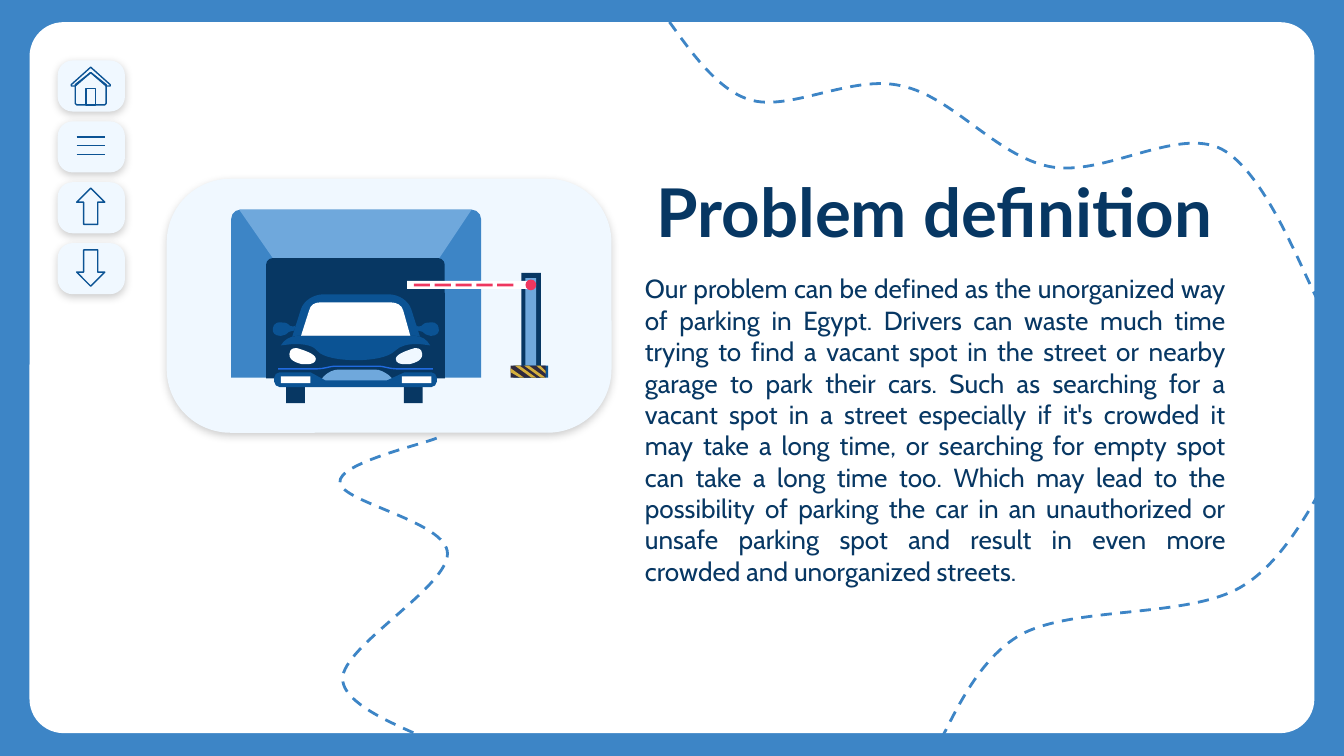
"""Build the "Problem definition" slide on a grid of 1000 columns, each a hundredth of an inch."""
from dataclasses import dataclass
from typing import NamedTuple, Optional, Union

from lxml import etree
from pptx import Presentation
from pptx import util as u
from pptx.dml.color import RGBColor
from pptx.enum import dml, shapes, text
from pptx.oxml.ns import qn

PRESET = shapes.MSO_SHAPE
CELL = u.Inches(0.01)
COLUMNS, ROWS = 1000, 562.5
CAR_WIDTH_SUM = 529.5


@dataclass(frozen=True)
class Theme:
    blue: str = "3D85C6"
    navy: str = "073763"
    royal: str = "0B5394"
    sky: str = "6FA8DC"
    ice: str = "F0F8FF"
    white: str = "FFFFFF"
    red: str = "EE375F"
    char: str = "302A3D"
    gold: str = "D4AF3D"
    trim: str = "216BE0"
    title_font: str = "Lato"
    body_font: str = "Cabin"
    title_size: int = 36
    body_size: int = 14
    road_width: float = 1.5
    icon_width: float = 0.75


THEME = Theme()


class Box(NamedTuple):
    left: float
    top: float
    width: float
    height: float


class Block(NamedTuple):
    box: Box
    fill: Optional[str]
    preset: PRESET = PRESET.RECTANGLE
    corner: Optional[float] = None
    lifted: bool = False


class Outline(NamedTuple):
    """Contours of a start point, then points for lines and six numbers for curves."""
    contours: list
    fill: Optional[str] = None
    road: bool = False


def bars(lefts: list, top: float, width: float, height: float) -> list:
    """List equal rectangles on one row as contours."""
    return [[(x, top), (x, top + height), (x + width, top + height), (x + width, top)] for x in lefts]


def mirrored(steps: list) -> list:
    """Reflect steps across the middle of the car."""
    return [tuple(CAR_WIDTH_SUM - n if i % 2 == 0 else n for i, n in enumerate(step)) for step in steps]


FRAME = Block(Box(22, 16.5, 956, 529), THEME.white, PRESET.ROUNDED_RECTANGLE, 0.048)
PANEL = Block(Box(124, 133, 331, 189), THEME.ice, PRESET.ROUNDED_RECTANGLE, 0.251, True)
BODY_BOX = Box(470, 193, 452, 189)
TITLE_BOX = Box(439, 95, 473, 102)
BODY = ("Our problem can be defined as the unorganized way of parking in Egypt. Drivers can waste much "
        "time trying to find a vacant spot in the street or nearby garage to park their cars. Such as "
        "searching for a vacant spot in a street especially if it's crowded it may take a long time, or "
        "searching for empty spot can take a long time too. Which may lead to the possibility of parking "
        "the car in an unauthorized or unsafe parking spot and result in even more crowded and "
        "unorganized streets.")

GARAGE = [
    Block(Box(172, 156, 186, 125), THEME.blue, PRESET.ROUND_2_SAME_RECTANGLE, 0.056),
    Block(Box(198, 192, 133, 89.5), THEME.navy, PRESET.ROUND_2_SAME_RECTANGLE, 0.056),
    Outline([[(178, 156), (203, 192), (327, 192), (351, 156)]], THEME.sky),
]
STRIPES = [[(399, 272), (406, 278), (406, 276), (402, 272)],
           *([(x, 272), (x + 12.5, 281), (x + 16, 281), (x + 3.5, 272)] for x in (390, 383)),
           [(380, 274), (380, 277), (387, 281), (390, 281)]]
BARRIER = [
    Block(Box(388, 203, 14.5, 78), THEME.navy),
    Block(Box(391, 207, 8, 74), THEME.sky),
    Block(Box(303, 209, 94, 6), THEME.white),
    Block(Box(391, 208, 8, 8), THEME.red, PRESET.OVAL),
    Outline(bars([308 + 15.5 * dash for dash in range(5)], 211, 12, 2), THEME.red),
    Block(Box(382, 272, 26, 9), THEME.royal),
    Block(Box(380, 272, 26, 9), THEME.char),
    Outline(STRIPES, THEME.gold),
]
LAMP = [(220, 259), (217, 259, 216, 261, 216, 261), (213, 268, 221, 270, 225, 271),
        (226, 271, 227, 271, 228, 271), (232, 271, 235, 270, 235, 267),
        (235, 263, 224, 260, 221, 259)]
SIDE_MIRROR = [(210, 240), (203, 239, 203, 244, 203, 246), (203, 247, 204, 250, 209, 250),
               (212, 249, 214, 249, 215, 247), (216, 247, 217, 246, 219, 246), (220, 242),
               (220, 242, 220, 243, 218, 243), (214, 243, 216, 240, 210, 240)]
CAR = [
    Outline(bars([213, 300.5], 273, 14, 27), THEME.navy),
    Outline([[(241, 219), (233, 219, 226, 224, 224, 230), (217, 252), (313, 252), (306, 230),
              (304, 224, 297, 219, 289, 219)]], THEME.royal),
    Outline([[(238, 225), (234, 225, 231, 227, 230, 231), (222, 256), (307, 256), (300, 231),
              (299, 227, 295, 225, 291, 225)]], THEME.white),
    Outline([[(221, 250), (214, 250, 208, 256, 208, 263), (207, 285), (323, 285), (322, 263),
              (322, 256, 316, 250, 309, 250)]], THEME.navy),
    Outline([[(252, 275), (248, 275, 244, 277, 241, 280), (237, 285), (295, 285), (289, 279),
              (286, 277, 283, 275, 279, 275)]], THEME.sky),
    Outline([[(221, 250), (216, 250, 211, 253, 209, 257), (211, 257, 215, 256, 220, 256),
              (226, 256, 233, 257, 236, 261), (240, 266, 253, 268, 265, 268),
              (277, 268, 289, 266, 294, 261), (298, 257, 304, 256, 310, 256),
              (315, 256, 318, 257, 320, 257), (318, 253, 314, 250, 309, 250)]], THEME.royal),
    Outline([LAMP], THEME.white),
    Outline([mirrored(LAMP)], THEME.ice),
    Outline([[(208, 277), (206, 277, 204, 279, 204, 281), (204, 284), (204, 286, 206, 288, 208, 288),
              (321, 288), (323, 288, 325, 286, 325, 284), (325, 281), (325, 279, 323, 277, 321, 277),
              (301, 277), (288, 283), (242, 283), (231, 277)]], THEME.royal),
    Outline(bars([209, 299], 280, 22, 5), THEME.white),
    Outline([[(249, 272), (246, 272, 241, 274, 236, 274), (207, 274), (207, 275), (236, 275),
              (241, 275, 246, 273, 249, 273), (282, 273), (285, 273, 290, 275, 295, 275),
              (322, 275), (322, 274), (295, 274), (290, 274, 285, 272, 282, 272)]], THEME.trim),
    Outline([SIDE_MIRROR, mirrored(SIDE_MIRROR)], THEME.royal),
]
HOUSE = Outline([
    [(67.5, 54), (56, 63), (56, 77), (57, 78), (78, 78), (79, 77), (79, 63)],
    [(64, 66), (64, 78), (71, 78), (71, 66)],
    [(67.5, 50), (53, 63), (53, 64), (56, 64), (67.5, 54), (79, 64), (82, 64), (82, 63)],
])
BUTTONS = [Block(Box(43, 45 + 45.3 * row, 50, 38), THEME.ice, PRESET.ROUNDED_RECTANGLE, 0.291, True)
           for row in range(4)]
ARROWS = [Block(Box(57, 140, 21, 27), None, PRESET.UP_ARROW),
          Block(Box(57, 186, 21, 27), None, PRESET.DOWN_ARROW)]
ROADS = [
    [(325, 326), (313, 331, 251, 345, 253, 359), (254, 374, 333, 388, 333, 412),
     (333, 437, 255, 481, 255, 505), (255, 529, 320, 548, 332, 557)],
    [(489, 5), (501, 17, 526, 64, 557, 74), (587, 84, 634, 55, 671, 64), (709, 72, 741, 116, 781, 124),
     (821, 132, 876, 94, 909, 111), (943, 129, 971, 208, 983, 228)],
    [(693, 562.5), (704, 548, 722, 493, 760, 472), (799, 451, 883, 460, 923, 437),
     (963, 414, 987, 352, 1000, 335)],
]


def grid(*lengths: float) -> list[u.Emu]:
    """Turn grid cells into lengths."""
    return [u.Emu(round(length * CELL)) for length in lengths]


def trace(canvas, outline: Outline):
    """Build a freeform and bend the segments that are curves."""
    builder = canvas.build_freeform(*grid(*outline.contours[0][0]))
    for number, contour in enumerate(outline.contours):
        if number:
            builder.move_to(*grid(*contour[0]))
        builder.add_line_segments([grid(*step[-2:]) for step in contour[1:]], close=not outline.road)
    shape = builder.convert_to_shape()
    segments = list(shape.element.iter(qn("a:lnTo")))
    steps = [step for contour in outline.contours for step in contour[1:]]
    for segment, step in zip(segments, steps):
        if len(step) == 6:
            curve = etree.Element(qn("a:cubicBezTo"))
            for x, y in zip(grid(*step[::2]), grid(*step[1::2])):
                etree.SubElement(curve, qn("a:pt"), x=str(x - shape.left), y=str(y - shape.top))
            segment.getparent().replace(segment, curve)
    return shape


def draw(canvas, part: Union[Block, Outline]):
    """Draw one part and paint it."""
    if isinstance(part, Block):
        shape = canvas.add_shape(part.preset, *grid(*part.box))
        if part.corner is not None:
            shape.adjustments[0] = part.corner
    else:
        shape = trace(canvas, part)
    shape.shadow.inherit = False
    if part.fill:
        shape.fill.solid()
        shape.fill.fore_color.rgb = RGBColor.from_string(part.fill)
        shape.line.fill.background()
    else:
        road = isinstance(part, Outline) and part.road
        shape.fill.background()
        shape.line.color.rgb = RGBColor.from_string(THEME.blue if road else THEME.royal)
        shape.line.width = u.Pt(THEME.road_width if road else THEME.icon_width)
        if road:
            shape.line.dash_style = dml.MSO_LINE.DASH
    if isinstance(part, Block) and part.lifted:
        effects = shape.element.spPr.find(qn("a:effectLst"))
        shade = etree.SubElement(effects, qn("a:outerShdw"), blurRad="57150", dist="19050",
                                 dir="5400000", algn="bl", rotWithShape="0")
        tone = etree.SubElement(shade, qn("a:srgbClr"), val="000000")
        etree.SubElement(tone, qn("a:alpha"), val="20000")
    return shape


def draw_menu(canvas) -> None:
    """Draw the three bars of the menu icon."""
    for y in (102, 108.5, 115):
        bar = canvas.add_connector(shapes.MSO_CONNECTOR.STRAIGHT, *grid(57, y, 78, y))
        bar.line.color.rgb = RGBColor.from_string(THEME.royal)
        bar.line.width = u.Pt(THEME.icon_width)
        etree.SubElement(bar.element.spPr, qn("a:effectLst"))


def write(holder, box: Box, words: str, font: str, size: int, bold: bool, align, anchor) -> None:
    """Place a text holder and fill it with one run."""
    holder.left, holder.top, holder.width, holder.height = grid(*box)
    frame = holder.text_frame
    frame.word_wrap, frame.auto_size = True, text.MSO_AUTO_SIZE.NONE
    frame.vertical_anchor = anchor
    frame.margin_left = frame.margin_right = frame.margin_top = frame.margin_bottom = u.Inches(0.1)
    paragraph = frame.paragraphs[0]
    paragraph.alignment, paragraph.line_spacing = align, 1.0
    paragraph.space_before = u.Pt(0)
    run = paragraph.add_run()
    run.text = words
    run.font.name, run.font.size, run.font.bold = font, u.Pt(size), bold
    run.font.color.rgb = RGBColor.from_string(THEME.navy)


def main() -> None:
    """Build and save the slide."""
    deck = Presentation()
    deck.slide_width, deck.slide_height = grid(COLUMNS, ROWS)
    slide = deck.slides.add_slide(deck.slide_layouts[5])
    slide.background.fill.solid()
    slide.background.fill.fore_color.rgb = RGBColor.from_string(THEME.blue)
    canvas = slide.shapes
    title = canvas.title
    draw(canvas, FRAME)
    panel = draw(canvas, PANEL)
    write(canvas.add_textbox(*grid(*BODY_BOX)), BODY_BOX, BODY, THEME.body_font, THEME.body_size, False,
          text.PP_ALIGN.JUSTIFY, text.MSO_ANCHOR.TOP)
    write(title, TITLE_BOX, "Problem definition", THEME.title_font, THEME.title_size, True,
          text.PP_ALIGN.RIGHT, text.MSO_ANCHOR.BOTTOM)
    panel.element.addnext(title.element)
    scene = canvas.add_group_shape()
    for part in GARAGE + BARRIER + CAR:
        draw(scene.shapes, part)
    for part in BUTTONS + ARROWS + [HOUSE]:
        draw(canvas, part)
    draw_menu(canvas)
    for road in ROADS:
        draw(canvas, Outline([road], road=True))
    deck.save("out.pptx")


if __name__ == "__main__":
    main()
